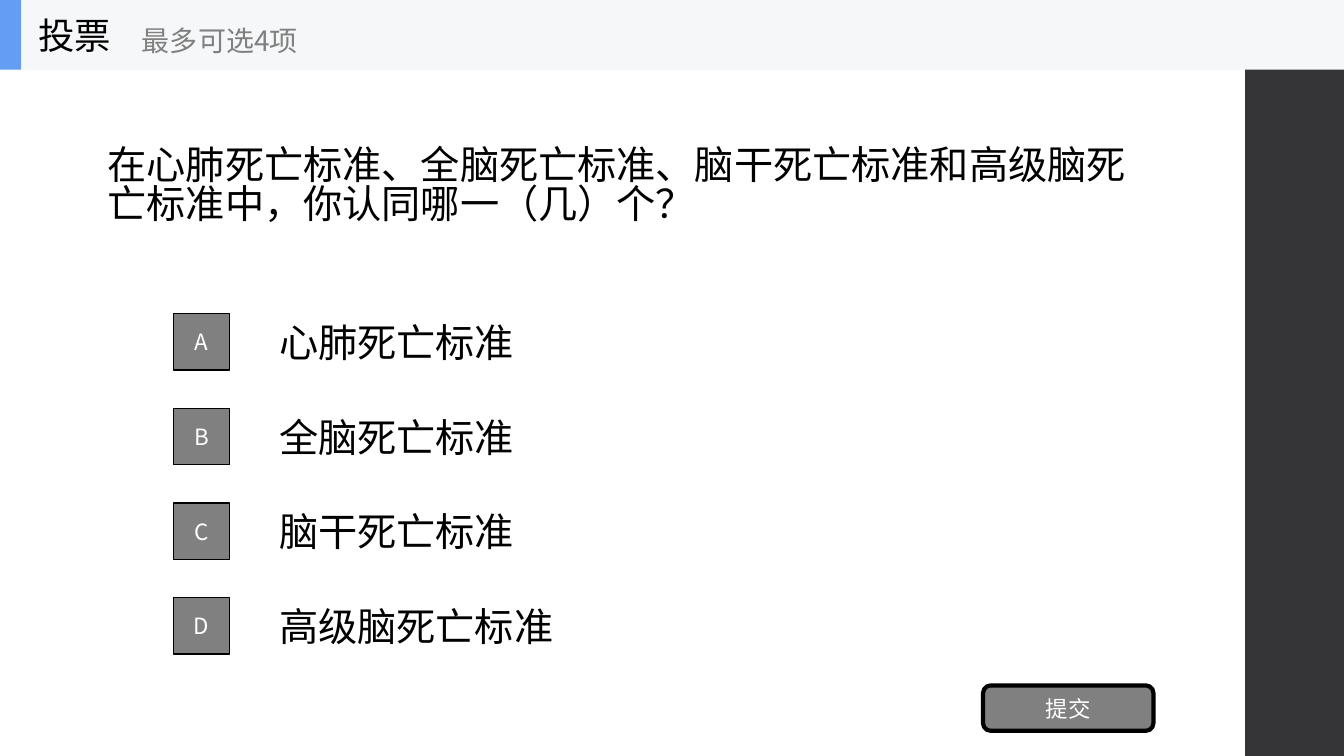
from lxml import etree
from pptx import Presentation
from pptx.dml.color import RGBColor
from pptx.enum.shapes import MSO_SHAPE
from pptx.enum.text import MSO_ANCHOR, PP_ALIGN
from pptx.oxml.ns import qn
from pptx.util import Inches, Pt

RECTANGLE = MSO_SHAPE.RECTANGLE
ROUNDED = MSO_SHAPE.ROUNDED_RECTANGLE
MIDDLE = MSO_ANCHOR.MIDDLE
LEFT, CENTER = PP_ALIGN.LEFT, PP_ALIGN.CENTER
FONT = "Noto Sans CJK SC"
BLACK, GRAY, WHITE = "000000", "808080", "FFFFFF"


def add_block(shapes, kind, box, fill, line_width=0):
    shape = shapes.add_shape(kind, *map(Inches, box))
    shape.shadow.inherit = False
    shape.fill.solid()
    shape.fill.fore_color.rgb = RGBColor.from_string(fill)
    if line_width:
        shape.line.color.rgb = RGBColor.from_string(BLACK)
        shape.line.width = Pt(line_width)
    else:
        shape.line.fill.background()
    return shape


def write(shape, text, size, color, align=LEFT):
    frame = shape.text_frame
    frame.word_wrap = True
    frame.vertical_anchor = MIDDLE
    paragraph = frame.paragraphs[0]
    paragraph.alignment = align
    run = paragraph.add_run()
    run.text = text
    run.font.size = Pt(size)
    run.font.color.rgb = RGBColor.from_string(color)
    run.font.name = FONT
    properties = run.font._element
    etree.SubElement(properties, qn("a:ea")).set("typeface", FONT)
    return paragraph


presentation = Presentation()
presentation.slide_width = Inches(13.33)
presentation.slide_height = Inches(7.5)
slide = presentation.slides.add_slide(presentation.slide_layouts[6])
shapes = slide.shapes

add_block(shapes, RECTANGLE, (12.35, 0, 0.98, 7.5), "353537")

question = shapes.add_textbox(Inches(0.97), Inches(0.69), Inches(10.67), Inches(2.34))
paragraph = write(
    question,
    "在心肺死亡标准、全脑死亡标准、脑干死亡标准和高级脑死亡标准中，你认同哪一（几）个？",
    28,
    BLACK,
)
paragraph.line_spacing = 0.83

options = ["心肺死亡标准", "全脑死亡标准", "脑干死亡标准", "高级脑死亡标准"]
for index, (letter, option) in enumerate(zip("ABCD", options)):
    top = 3.04 + 0.94 * index
    label = shapes.add_textbox(Inches(2.67), Inches(top), Inches(9.33), Inches(0.7))
    write(label, option, 28, BLACK)
    key = add_block(shapes, RECTANGLE, (1.72, top + 0.07, 0.56, 0.56), GRAY, 1)
    write(key, letter, 16, WHITE, CENTER)

submit = add_block(shapes, ROUNDED, (9.75, 6.8, 1.69, 0.45), GRAY, 3)
write(submit, "提交", 16, WHITE, CENTER)

header = shapes.add_group_shape().shapes
add_block(header, RECTANGLE, (0, 0, 13.33, 0.69), "F6F7F8")
add_block(header, RECTANGLE, (0, 0, 0.21, 0.69), "639EF4")
title = header.add_textbox(Inches(0.28), Inches(0), Inches(2.08), Inches(0.69))
write(title, "投票", 26, BLACK)
hint = header.add_textbox(Inches(1.31), Inches(0.12), Inches(2.5), Inches(0.56))
write(hint, "最多可选4项", 20, GRAY)

presentation.save("out.pptx")
